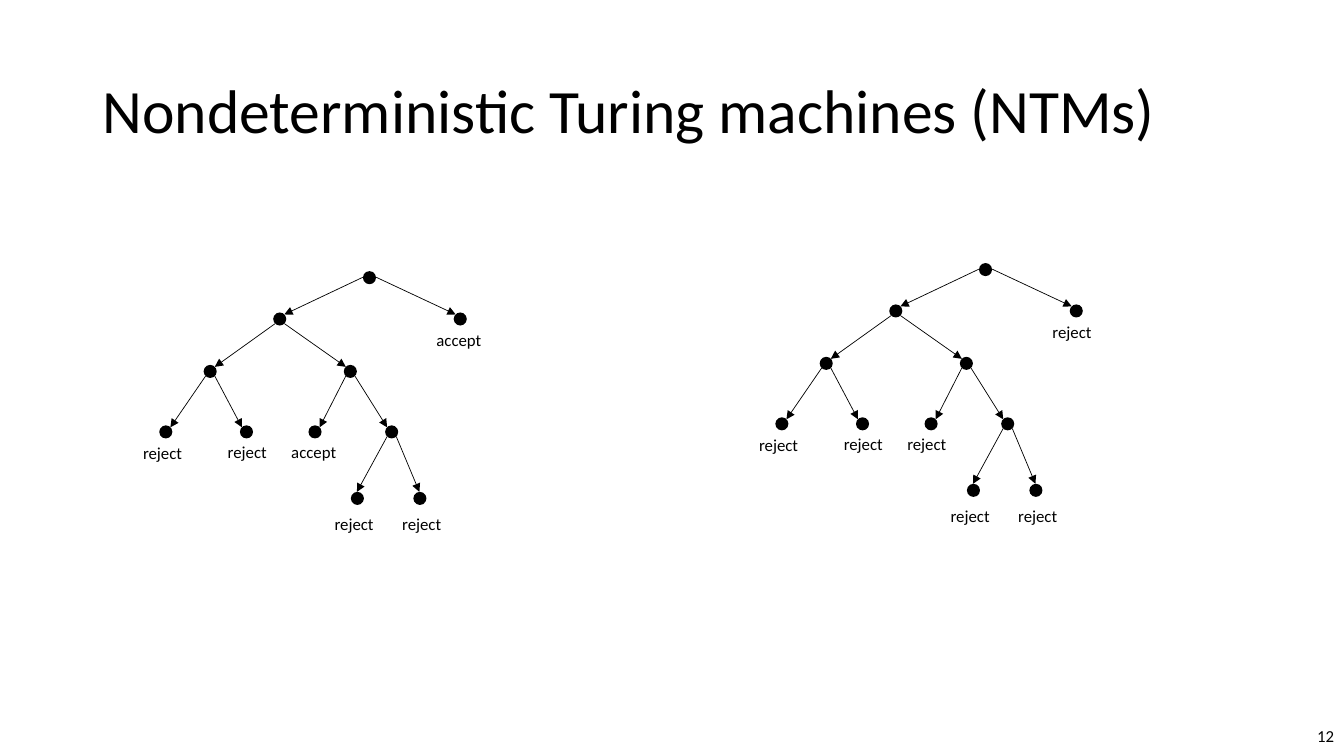
"""Draw two nondeterministic Turing machine computation trees."""
from dataclasses import dataclass
from typing import NamedTuple

from lxml.etree import SubElement
from pptx import Presentation
from pptx.dml.color import RGBColor
from pptx.enum.shapes import MSO_CONNECTOR, MSO_SHAPE
from pptx.enum.text import MSO_ANCHOR, PP_ALIGN
from pptx.oxml.ns import qn
from pptx.slide import Slide
from pptx.util import Emu, Pt

PX = 9144
DOT = 13


@dataclass(frozen=True)
class Theme:
    ink: RGBColor = RGBColor(0, 0, 0)
    paper: RGBColor = RGBColor(255, 255, 255)
    font: str = "Calibri"
    title_size: int = 44
    label_size: int = 12
    edge_width: float = 0.5


class Point(NamedTuple):
    x: int
    y: int

    def shifted(self, by: "Point") -> "Point":
        return Point(self.x + by.x, self.y + by.y)


class Box(NamedTuple):
    left: int
    top: int
    width: int
    height: int


class Edge(NamedTuple):
    parent: str
    child: str
    leaves_at: Point
    enters_at: Point


class Leaf(NamedTuple):
    corner: Point
    width: int


class Tree(NamedTuple):
    origin: Point
    verdicts: tuple[str, ...]


THEME = Theme()

LEFT, RIGHT, TOP = Point(0, 6), Point(DOT, 6), Point(6, 0)
UPPER_LEFT, UPPER_RIGHT = Point(2, 2), Point(11, 2)
LOWER_LEFT, LOWER_RIGHT = Point(2, 11), Point(11, 11)

NODES = {
    "root": Point(0, 0),
    "0": Point(-89, 41),
    "1": Point(90, 41),
    "00": Point(-158, 93),
    "01": Point(-19, 93),
    "000": Point(-202, 153),
    "001": Point(-122, 153),
    "010": Point(-54, 153),
    "011": Point(22, 153),
    "0110": Point(-12, 219),
    "0111": Point(50, 219),
}
EDGES = (
    Edge("root", "0", LEFT, UPPER_RIGHT),
    Edge("root", "1", RIGHT, UPPER_LEFT),
    Edge("0", "00", LOWER_LEFT, UPPER_RIGHT),
    Edge("0", "01", LOWER_RIGHT, UPPER_LEFT),
    Edge("00", "000", LOWER_LEFT, UPPER_RIGHT),
    Edge("00", "001", LOWER_RIGHT, UPPER_LEFT),
    Edge("01", "010", LOWER_LEFT, UPPER_RIGHT),
    Edge("01", "011", LOWER_RIGHT, UPPER_LEFT),
    Edge("011", "0110", LOWER_LEFT, TOP),
    Edge("011", "0111", LOWER_RIGHT, TOP),
)
LEAVES = (
    Leaf(Point(63, 53), 78),
    Leaf(Point(-228, 165), 61),
    Leaf(Point(-144, 164), 61),
    Leaf(Point(-81, 164), 78),
    Leaf(Point(-38, 236), 61),
    Leaf(Point(29, 236), 61),
)
TREES = (
    Tree(Point(360, 269), ("accept", "reject", "reject", "accept", "reject", "reject")),
    Tree(Point(971, 261), ("reject",) * len(LEAVES)),
)


def px(length: int) -> Emu:
    """Turn px into EMU."""
    return Emu(length * PX)


def add_text(slide: Slide, text: str, box: Box, *, size: int = THEME.label_size,
             align: PP_ALIGN = PP_ALIGN.LEFT, anchor: MSO_ANCHOR = MSO_ANCHOR.TOP,
             line_spacing: float = 1.0) -> None:
    """Write one paragraph in a box."""
    frame = slide.shapes.add_textbox(*map(px, box)).text_frame
    frame.word_wrap = True
    frame.vertical_anchor = anchor
    paragraph = frame.paragraphs[0]
    paragraph.alignment = align
    paragraph.line_spacing = line_spacing
    run = paragraph.add_run()
    run.text = text
    run.font.name = THEME.font
    run.font.size = Pt(size)
    run.font.color.rgb = THEME.ink


def add_dot(slide: Slide, corner: Point) -> None:
    """Draw one configuration."""
    dot = slide.shapes.add_shape(MSO_SHAPE.OVAL, *map(px, (*corner, DOT, DOT)))
    dot.shadow.inherit = False
    dot.fill.solid()
    dot.fill.fore_color.rgb = THEME.ink
    dot.line.fill.background()


def add_arrow(slide: Slide, start: Point, end: Point) -> None:
    """Draw one computation step."""
    arrow = slide.shapes.add_connector(MSO_CONNECTOR.STRAIGHT, *map(px, (*start, *end)))
    arrow.line.color.rgb = THEME.ink
    arrow.line.width = Pt(THEME.edge_width)
    SubElement(arrow.line._get_or_add_ln(), qn("a:tailEnd"), type="triangle")
    SubElement(arrow._element.spPr, qn("a:effectLst"))


def draw_tree(slide: Slide, tree: Tree) -> None:
    """Draw the dots, arrows and verdicts of one tree."""
    corners = {name: node.shifted(tree.origin) for name, node in NODES.items()}
    for corner in corners.values():
        add_dot(slide, corner)
    for edge in EDGES:
        add_arrow(slide, corners[edge.parent].shifted(edge.leaves_at),
                  corners[edge.child].shifted(edge.enters_at))
    for leaf, verdict in zip(LEAVES, tree.verdicts):
        add_text(slide, verdict, Box(*leaf.corner.shifted(tree.origin), leaf.width, 30))


def main() -> None:
    """Build and save the slide."""
    deck = Presentation()
    deck.slide_width, deck.slide_height = px(1333), px(750)
    slide = deck.slides.add_slide(deck.slide_layouts[6])
    slide.background.fill.solid()
    slide.background.fill.fore_color.rgb = THEME.paper
    add_text(slide, "Nondeterministic Turing machines (NTMs)", Box(92, 40, 1150, 145),
             size=THEME.title_size, anchor=MSO_ANCHOR.MIDDLE, line_spacing=0.9)
    add_text(slide, "12", Box(1033, 710, 300, 40),
             align=PP_ALIGN.RIGHT, anchor=MSO_ANCHOR.MIDDLE)
    for tree in TREES:
        draw_tree(slide, tree)
    deck.save("out.pptx")


if __name__ == "__main__":
    main()
